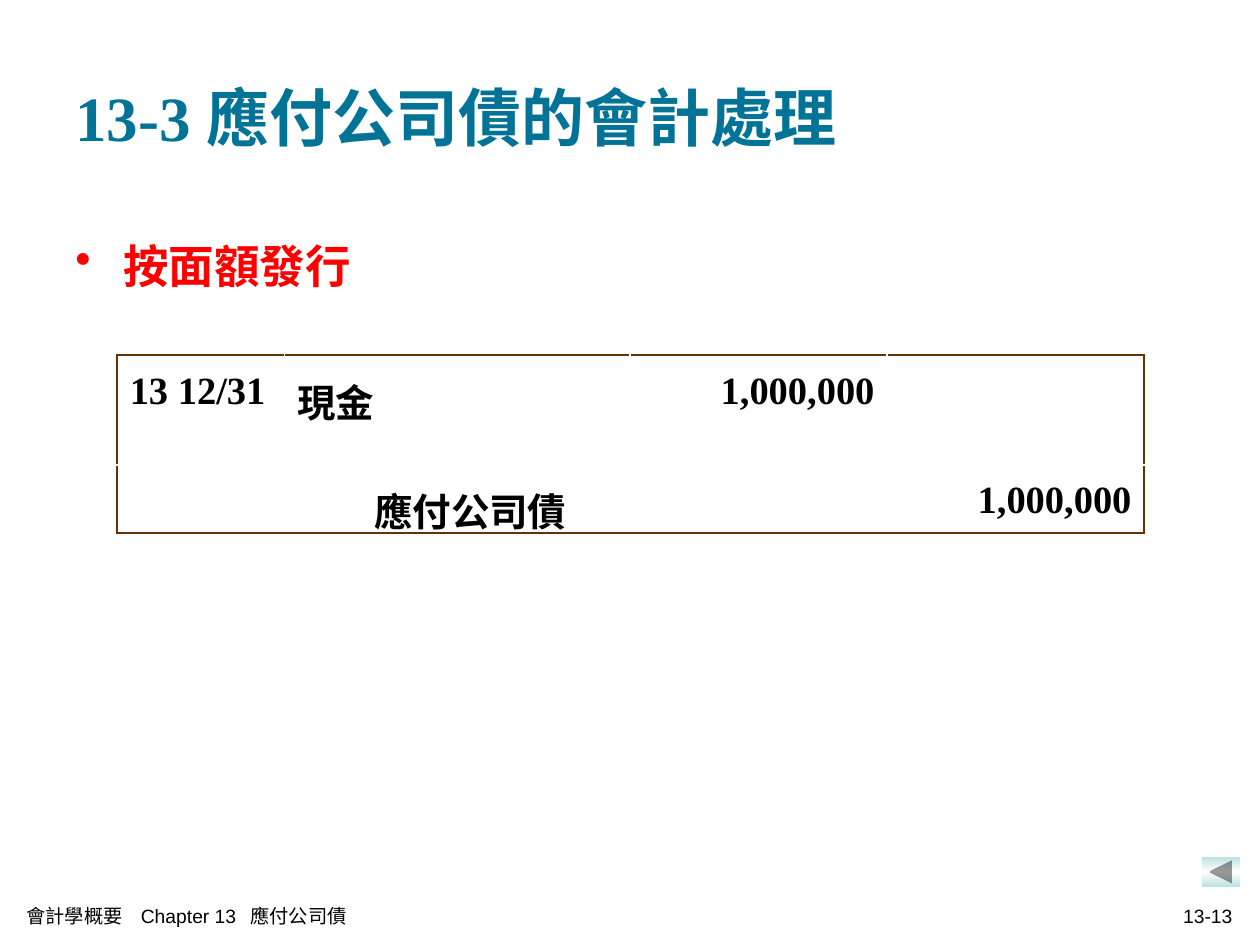
from copy import deepcopy
from dataclasses import dataclass

from lxml import etree
from pptx import Presentation
from pptx import util as u
from pptx.dml.color import RGBColor
from pptx.enum import shapes, text
from pptx.oxml.ns import qn


@dataclass(frozen=True)
class Theme:
    title: str = "007396"
    accent: str = "FF0000"
    ink: str = "000000"
    border: str = "663300"
    button: tuple = ("BBE0E3", "FFFFFF", "BBE0E3")
    serif: str = "Times New Roman"
    sans: str = "Arial"
    title_size: int = 36
    body_size: int = 26
    table_size: int = 22
    footer_size: int = 11


THEME = Theme()


def child(parent, tag, **attrs):
    return etree.SubElement(parent, qn(tag), {k: str(v) for k, v in attrs.items()})


def write(tf, words, size, color=THEME.ink, font=THEME.serif, bold=True,
          align=text.PP_ALIGN.LEFT, anchor=text.MSO_ANCHOR.TOP,
          spacing=1.0, bullet=None, indent=0, tabs=()):
    tf.word_wrap = True
    tf.vertical_anchor = anchor
    p = tf.paragraphs[0]
    p.alignment = align
    p.line_spacing = spacing
    pPr = p._p.get_or_add_pPr()
    if bullet:
        pPr.set("marL", str(u.Inches(indent)))
        pPr.set("indent", str(-u.Inches(indent)))
        child(child(pPr, "a:buClr"), "a:srgbClr", val=color)
        child(pPr, "a:buChar", char=bullet)
    if tabs:
        stops = child(pPr, "a:tabLst")
        for stop in tabs:
            child(stops, "a:tab", pos=u.Inches(stop), algn="l")
    r = p.add_run()
    r.text = words
    r.font.name, r.font.size, r.font.bold = font, u.Pt(size), bold
    r.font.color.rgb = RGBColor.from_string(color)


def add_text(s, box, words, size, **style):
    sp = s.shapes.add_textbox(*map(u.Inches, box))
    write(sp.text_frame, words, size, **style)


def add_heading(s, box):
    add_text(s, box, "13-3 應付公司債的會計處理", THEME.title_size,
             color=THEME.title, anchor=text.MSO_ANCHOR.MIDDLE)


def add_body(s, box):
    add_text(s, box, "按面額發行", THEME.body_size, color=THEME.accent,
             spacing=1.2, bullet="•", indent=0.38)


def add_border(cell, sides):
    tcPr = cell._tc.get_or_add_tcPr()
    for side in sides:
        ln = child(tcPr, f"a:ln{side}", w=u.Pt(1.08))
        child(child(ln, "a:solidFill"), "a:srgbClr", val=THEME.border)


def add_journal(s, box):
    entries = (("13 12/31", "現金", "1,000,000", ""),
               ("", "應付公司債", "", "1,000,000"))
    widths, heights = (1.33, 2.74, 2.04, 2.04), (0.87, 0.54)
    last_row, last_col = len(heights) - 1, len(widths) - 1
    table = s.shapes.add_table(len(heights), len(widths), *map(u.Inches, box)).table
    table.first_row = table.horz_banding = False
    for column, width in zip(table.columns, widths):
        column.width = u.Inches(width)
    for row, height in zip(table.rows, heights):
        row.height = u.Inches(height)
    for i, entry in enumerate(entries):
        for j, words in enumerate(entry):
            cell = table.cell(i, j)
            edges = {"L": j == 0, "R": j == last_col, "T": i == 0, "B": i == last_row}
            add_border(cell, [side for side, outer in edges.items() if outer])
            cell.fill.background()
            if words:
                amount = j >= 2
                write(cell.text_frame, words, THEME.table_size, spacing=1.2,
                      align=text.PP_ALIGN.RIGHT if amount else text.PP_ALIGN.LEFT)
    credit_indent = 2 * THEME.table_size / 72
    table.cell(1, 1).margin_left = u.Inches(round(0.1 + credit_indent, 2))


def add_footer(s, box):
    left, top, width, height = box
    number_width = 3.1
    style = dict(font=THEME.sans, bold=False, anchor=text.MSO_ANCHOR.MIDDLE)
    add_text(s, (left, top, 5.1, height), "會計學概要\tChapter 13\t應付公司債",
             THEME.footer_size, tabs=(0.91, 1.78), **style)
    add_text(s, (left + width - number_width, top, number_width, height), "13-13",
             THEME.footer_size, align=text.PP_ALIGN.RIGHT, **style)


def add_back_button(s, box):
    sp = s.shapes.add_shape(shapes.MSO_SHAPE.ACTION_BUTTON_BACK_OR_PREVIOUS,
                            *map(u.Inches, box))
    sp.shadow.inherit = False
    sp.line.fill.background()
    sp.fill.gradient()
    sp.fill.gradient_angle = 90
    stops = sp._element.spPr.find(qn("a:gradFill")).find(qn("a:gsLst"))
    stops.append(deepcopy(stops[0]))
    for stop, position, color in zip(sp.fill.gradient_stops, (0, 0.5, 1), THEME.button):
        stop.position = position
        stop.color.rgb = RGBColor.from_string(color)


def main():
    prs = Presentation()
    prs.slide_width, prs.slide_height = u.Inches(10), u.Inches(7.5)
    s = prs.slides.add_slide(prs.slide_layouts[6])
    add_heading(s, (0.5, 0.3, 9, 1.25))
    add_body(s, (0.5, 1.75, 9, 4.95))
    add_footer(s, (0.11, 7.1, 9.77, 0.33))
    add_back_button(s, (9.54, 6.8, 0.3, 0.24))
    add_journal(s, (0.93, 2.82, 8.15, 1.41))
    prs.save("out.pptx")


if __name__ == "__main__":
    main()
